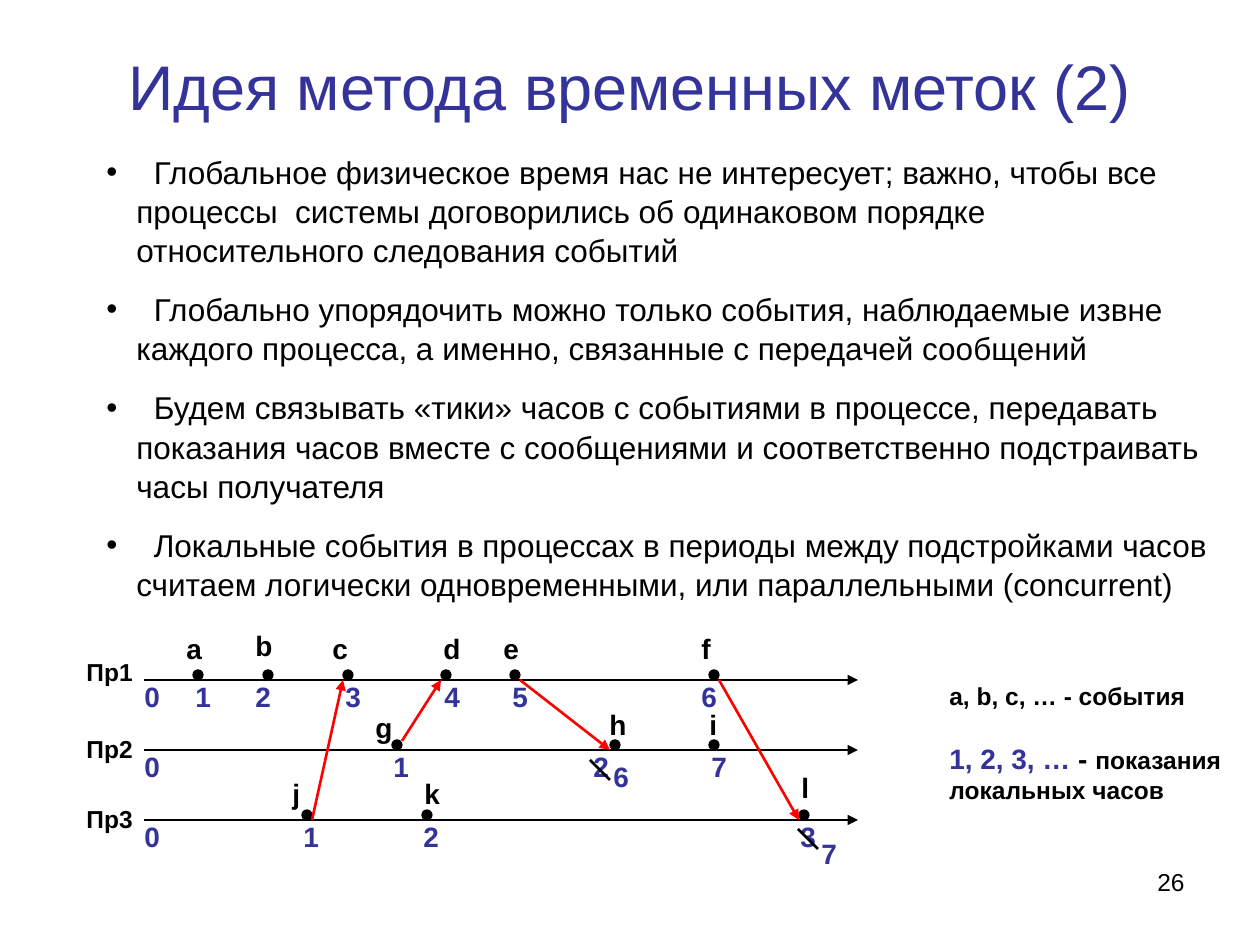
from dataclasses import dataclass

from lxml.etree import SubElement
from pptx import Presentation
from pptx.dml.color import RGBColor
from pptx.enum.shapes import MSO_CONNECTOR, MSO_SHAPE
from pptx.enum.text import MSO_ANCHOR, PP_ALIGN
from pptx.oxml.ns import qn
from pptx.util import Emu, Pt


@dataclass(frozen=True)
class Theme:
    font: str = "Arial"
    black: RGBColor = RGBColor(0x00, 0x00, 0x00)
    blue: RGBColor = RGBColor(0x33, 0x33, 0x99)
    red: RGBColor = RGBColor(0xFF, 0x00, 0x00)
    title: int = 36
    body: int = 18
    label: int = 16
    small: int = 14


T = Theme()
PX = 914400 / 126


def px(*values):
    return [Emu(round(v * PX)) for v in values]


prs = Presentation()
prs.slide_width, prs.slide_height = px(1260, 945)
s = prs.slides.add_slide(prs.slide_layouts[6])


def text(paragraphs, x, y, w, h, size=T.label, color=T.black, bold=False,
         align=PP_ALIGN.LEFT, anchor=MSO_ANCHOR.TOP, before=0, spacing=None, bullet=False):
    """Add a text box; a paragraph is a string or a list of (text, size, color) runs."""
    tf = s.shapes.add_textbox(*px(x, y, w, h)).text_frame
    tf.word_wrap = True
    tf.vertical_anchor = anchor
    for i, content in enumerate(paragraphs):
        p = tf.paragraphs[0] if i == 0 else tf.add_paragraph()
        p.alignment, p.space_before = align, Pt(before)
        if spacing:
            p.line_spacing = spacing
        if bullet:
            pPr = p._p.get_or_add_pPr()
            indent = px(30)[0]
            pPr.set("marL", str(indent))
            pPr.set("indent", str(-indent))
            SubElement(pPr, qn("a:buFont")).set("typeface", T.font)
            SubElement(pPr, qn("a:buChar")).set("char", "•")
        runs = [(content, size, color)] if isinstance(content, str) else content
        for words, run_size, run_color in runs:
            r = p.add_run()
            r.text = words
            r.font.name, r.font.size, r.font.bold = T.font, Pt(run_size), bold
            r.font.color.rgb = run_color


def line(x1, y1, x2, y2, color=T.black, arrow=True):
    c = s.shapes.add_connector(MSO_CONNECTOR.STRAIGHT, *px(x1, y1, x2, y2))
    c.line.color.rgb, c.line.width = color, Pt(1.5)
    if arrow:
        SubElement(c.line._get_or_add_ln(), qn("a:tailEnd")).set("type", "triangle")
    SubElement(c._element.spPr, qn("a:effectLst"))


text(["Идея метода временных меток (2)"], 63, 6, 1134, 158, size=T.title, color=T.blue,
     align=PP_ALIGN.CENTER, anchor=MSO_ANCHOR.MIDDLE)

text([
    "  Глобальное физическое время нас не интересует; важно, чтобы все процессы  системы "
    "договорились об одинаковом порядке относительного следования событий",
    "  Глобально упорядочить можно только события, наблюдаемые извне каждого процесса, "
    "а именно, связанные с передачей сообщений",
    "  Будем связывать «тики» часов с событиями в процессе, передавать показания часов "
    "вместе с сообщениями и соответственно подстраивать часы получателя",
    "  Локальные события в процессах в периоды между подстройками часов считаем логически "
    "одновременными, или параллельными (concurrent)",
], 94, 145, 1131, 450, size=T.body, before=11.2, spacing=1.04, bullet=True)

# Process: name, name y, axis y, events (letter, letter x, letter y, dot x, clock, clock x)
processes = [
    ("Пр1", 651, 680, [
        ("a", 174, 625, 193, "1", 183), ("b", 243, 622, 263, "2", 243),
        ("c", 320, 625, 343, "3", 333), ("d", 431, 625, 441, "4", 432),
        ("e", 491, 625, 510, "5", 500), ("f", 689, 625, 709, "6", 689)]),
    ("Пр2", 728, 750, [
        ("g", 363, 704, 392, "1", 381), ("h", 597, 701, 610, "2", 581),
        ("i", 697, 701, 709, "7", 699)]),
    ("Пр3", 798, 820, [
        ("j", 280, 770, 302, "1", 291), ("k", 412, 770, 422, "2", 411),
        ("l", 789, 764, 799, "3", 788)]),
]
DOT = 10
LABEL = (41, 47)

for name, name_y, axis_y, events in processes:
    text([name], 74, name_y, 79, 43, size=T.small, bold=True)
    line(144, axis_y, 858, axis_y)
    clock_y = axis_y - 7
    text(["0"], 132, clock_y, *LABEL, color=T.blue, bold=True)
    for letter, letter_x, letter_y, dot_x, clock, clock_x in events:
        sp = s.shapes.add_shape(MSO_SHAPE.OVAL, *px(dot_x, axis_y - DOT, DOT, DOT))
        sp.shadow.inherit = False
        sp.fill.solid()
        sp.fill.fore_color.rgb = sp.line.color.rgb = T.black
        sp.line.width = Pt(0.75)
        text([letter], letter_x, letter_y, *LABEL, bold=True)
        text([clock], clock_x, clock_y, *LABEL, color=T.blue, bold=True)

messages = [(312, 820, 343, 680), (402, 741, 441, 680),
            (520, 680, 610, 750), (719, 680, 799, 820)]
for ends in messages:
    line(*ends, color=T.red)

# Corrected clocks: strike start, new value and its place
for strike_x, strike_y, clock, x, y in [(590, 760, "6", 601, 753), (798, 829, "7", 809, 830)]:
    line(strike_x, strike_y, strike_x + 20, strike_y + 20, arrow=False)
    text([clock], x, y, *LABEL, color=T.blue, bold=True)

# The legend is two boxes, so the gap between its entries needs no blank paragraph
text(["a, b, c, … - cобытия"], 937, 675, 318, 43, size=T.small, bold=True)
text([[("1, 2, 3, … ", T.label, T.blue), ("- ", T.label, T.black),
       ("показания локальных часов", T.small, T.black)]], 937, 735, 318, 75, bold=True)

text(["26"], 903, 861, 294, 66, size=T.small, align=PP_ALIGN.RIGHT)

prs.save("out.pptx")
